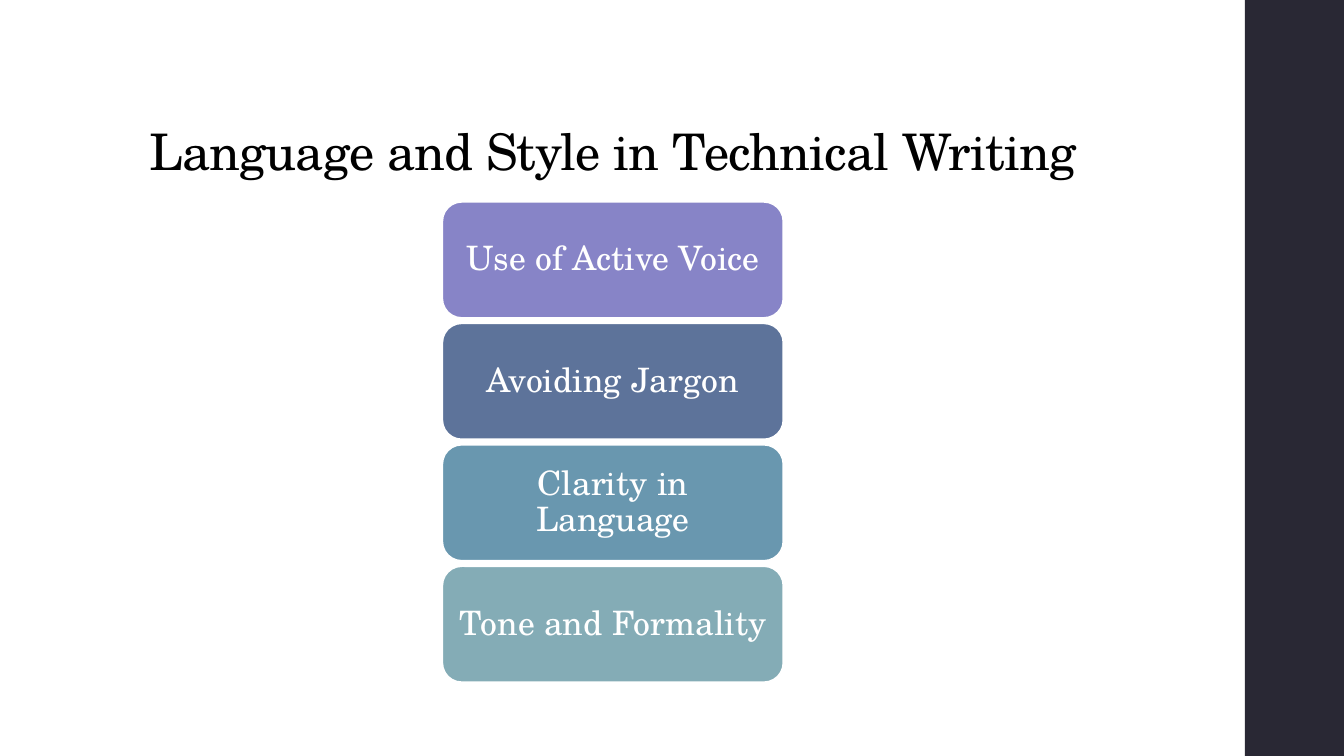
import pptx
import pptx.util
import pptx.dml.color
import pptx.enum.shapes
import pptx.enum.text

Cm = pptx.util.Cm
Pt = pptx.util.Pt
ALIGN = pptx.enum.text.PP_ALIGN
ANCHOR = pptx.enum.text.MSO_ANCHOR
SHAPE = pptx.enum.shapes.MSO_SHAPE

HEADING = "Language and Style in Technical Writing"
PRINCIPLES = [
    ("Use of Active Voice", "violet"),
    ("Avoiding Jargon", "indigo"),
    ("Clarity in Language", "blue"),
    ("Tone and Formality", "teal"),
]
COLOURS = {
    "violet": "8784C7",
    "indigo": "5D739A",
    "blue": "6997AF",
    "teal": "84ACB6",
    "band": "292834",
    "white": "FFFFFF",
    "black": "000000",
}
FONT = "TeX Gyre Schola"
SLIDE_WIDTH, SLIDE_HEIGHT = 33.87, 19.05
BAND_LEFT, BAND_WIDTH = 31.37, 2.54
CARD_LEFT, CARD_TOP = 11.15, 5.09
CARD_WIDTH, CARD_HEIGHT, CARD_STEP = 8.59, 2.92, 3.06


def rgb(name):
    return pptx.dml.color.RGBColor.from_string(COLOURS[name])


def write(holder, text, *, size, colour, align, anchor, tracking=None):
    frame = holder.text_frame
    frame.word_wrap = True
    frame.auto_size = pptx.enum.text.MSO_AUTO_SIZE.NONE
    frame.vertical_anchor = anchor
    frame.margin_left = frame.margin_right = Cm(0.25)
    frame.margin_top = frame.margin_bottom = Cm(0.13)
    paragraph = frame.paragraphs[0]
    paragraph.alignment = align
    paragraph.line_spacing = 0.9
    run = paragraph.add_run()
    run.text = text
    run.font.name = FONT
    run.font.size = Pt(size)
    run.font.color.rgb = rgb(colour)
    if tracking is not None:
        run.font._element.set("spc", str(round(tracking * 100)))


def add_block(slide, preset, left, top, width, height, fill, outline=None):
    block = slide.shapes.add_shape(preset, Cm(left), Cm(top), Cm(width), Cm(height))
    block.shadow.inherit = False
    block.fill.solid()
    block.fill.fore_color.rgb = rgb(fill)
    if outline:
        block.line.color.rgb = rgb(outline)
        block.line.width = Pt(1.1)
    else:
        block.line.fill.background()
    return block


def main():
    deck = pptx.Presentation()
    deck.slide_width, deck.slide_height = Cm(SLIDE_WIDTH), Cm(SLIDE_HEIGHT)
    slide = deck.slides.add_slide(deck.slide_layouts[5])

    add_block(slide, SHAPE.RECTANGLE, BAND_LEFT, 0, BAND_WIDTH, SLIDE_HEIGHT, "band")

    heading = slide.shapes.title
    heading.left, heading.top = Cm(3.51), Cm(1.02)
    heading.width, heading.height = Cm(26.92), Cm(3.68)
    write(heading, HEADING, size=36, colour="black", align=ALIGN.LEFT,
          anchor=ANCHOR.BOTTOM, tracking=-0.5)

    for row, (principle, colour) in enumerate(PRINCIPLES):
        card = add_block(slide, SHAPE.ROUNDED_RECTANGLE, CARD_LEFT,
                         CARD_TOP + row * CARD_STEP, CARD_WIDTH, CARD_HEIGHT,
                         colour, outline="white")
        write(card, principle, size=24, colour="white", align=ALIGN.CENTER,
              anchor=ANCHOR.MIDDLE)

    deck.save("out.pptx")


if __name__ == "__main__":
    main()
